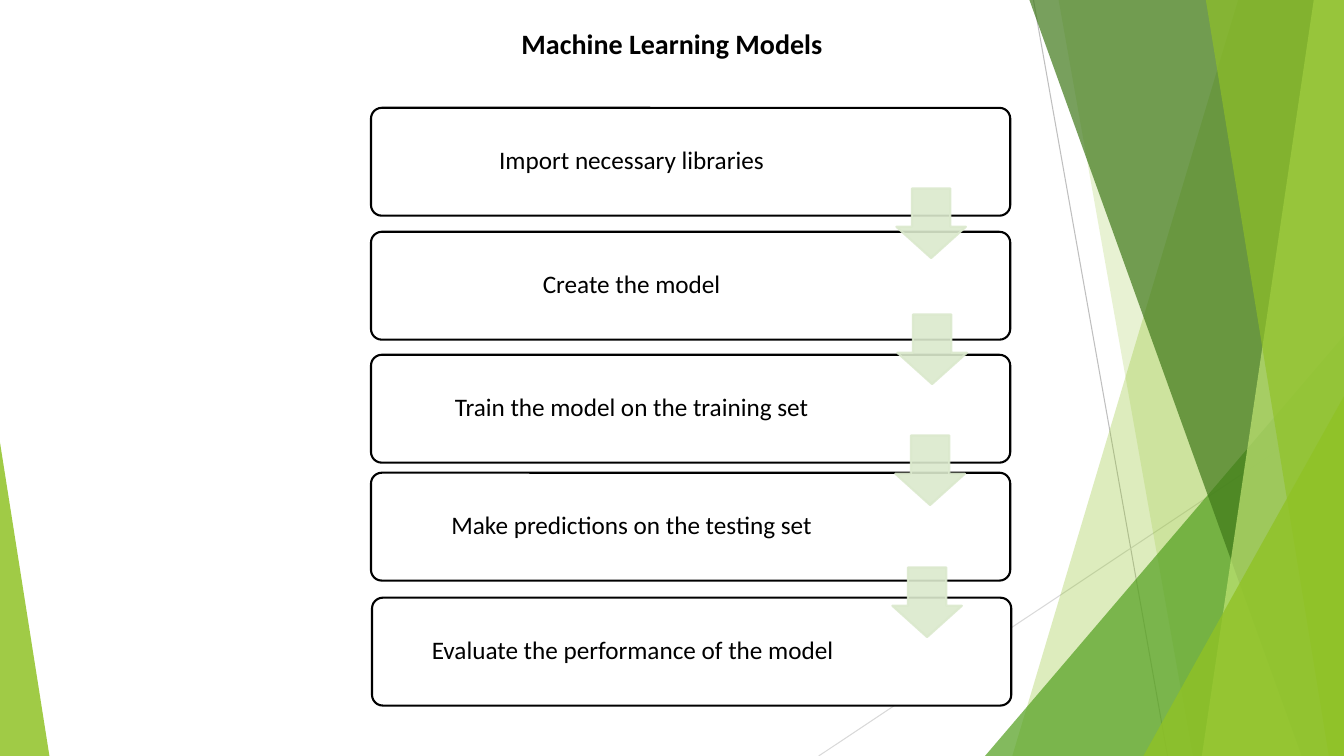
from dataclasses import dataclass

from lxml.etree import SubElement
from pptx import Presentation
from pptx.dml.color import RGBColor
from pptx.enum.shapes import MSO_CONNECTOR as Connector, MSO_SHAPE as Shape
from pptx.enum.text import MSO_ANCHOR as Anchor, PP_ALIGN as Align
from pptx.oxml.ns import qn
from pptx.util import Inches, Pt


@dataclass(frozen=True)
class Theme:
    font: str = "Calibri"
    title_size: int = 20
    step_size: int = 18
    text: str = "000000"
    box: str = "FFFFFF"
    arrow: str = "DBE9CD"
    lime: str = "90C226"
    pale_lime: str = "C0E474"
    green: str = "54A021"
    dark_green: str = "3F7819"
    ray: str = "BFBFBF"
    pale_ray: str = "D9D9D9"


T = Theme()
W, H = 13.33, 7.5

TITLE = "Machine Learning Models"
# text, left, top
STEPS = [
    ("Import necessary libraries", 3.68, 1.07),
    ("Create the model", 3.68, 2.3),
    ("Train the model on the training set", 3.68, 3.52),
    ("Make predictions on the testing set", 3.68, 4.69),
    ("Evaluate the performance of the model", 3.69, 5.93),
]
BOX_W, BOX_H = 6.34, 1.07
ARROWS = [(8.89, 1.87), (8.9, 3.12), (8.88, 4.32), (8.85, 5.63)]
ARROW_SIZE = 0.69

# x1, y1, x2, y2, colour
RAYS = [(10.25, 0, 11.58, H, T.ray), (W, 4.03, 8.12, H, T.pale_ray)]
# Bands reach the right edge: top-left x, bottom-left x, colour, opacity
BANDS_BACK = [(12.28, 10.04, T.lime, 30), (10.5, 11.83, T.lime, 20)]
BANDS_FRONT = [
    (10.21, 12.91, T.dark_green, 70),
    (13.03, 11.92, T.pale_lime, 70),
    (11.96, 13.18, T.lime, 65),
]
# Corners stand on the bottom edge: left, top, width, apex, colour, opacity
CORNER_BACK = (9.77, 3.33, 3.56, 1, T.green, 72)
CORNERS_FRONT = [(11.34, 3.93, 1.99, 1, T.lime, 80), (0, 4.39, 0.49, 0, T.lime, 85)]


def paint(fill, color, opacity=100):
    fill.solid()
    fill.fore_color.rgb = RGBColor.from_string(color)
    if opacity < 100:
        clr = fill._xPr.find(qn("a:solidFill"))[0]
        SubElement(clr, qn("a:alpha")).set("val", str(opacity * 1000))


def style(sp, color, opacity=100, line=None):
    sp.shadow.inherit = False
    paint(sp.fill, color, opacity)
    if line:
        paint(sp.line.fill, line, opacity)
        sp.line.width = Pt(1.5)
    else:
        sp.line.fill.background()


def add_preset(shapes, kind, left, top, width, height, *adjustments):
    sp = shapes.add_shape(kind, *map(Inches, (left, top, width, height)))
    for i, value in enumerate(adjustments):
        sp.adjustments[i] = value
    return sp


def add_ray(shapes, x1, y1, x2, y2, color):
    ray = shapes.add_connector(Connector.STRAIGHT, *map(Inches, (x1, y1, x2, y2)))
    ray.line.width = Pt(0.75)
    paint(ray.line.fill, color)
    SubElement(ray._element.spPr, qn("a:effectLst"))


def add_band(shapes, top_x, bottom_x, color, opacity):
    corners = [(top_x, 0), (W, 0), (W, H), (bottom_x, H)]
    points = [(Inches(x), Inches(y)) for x, y in corners]
    builder = shapes.build_freeform(*points[0])
    builder.add_line_segments(points[1:], close=True)
    style(builder.convert_to_shape(), color, opacity)


def add_corner(shapes, left, top, width, apex, color, opacity):
    sp = add_preset(shapes, Shape.ISOSCELES_TRIANGLE, left, top, width, H - top, apex)
    style(sp, color, opacity)


def write(tf, text, size, bold=False):
    tf.word_wrap = True
    tf.vertical_anchor = Anchor.MIDDLE
    p = tf.paragraphs[0]
    p.text = text
    p.alignment = Align.CENTER
    p.font.name, p.font.size, p.font.bold = T.font, Pt(size), bold
    p.font.color.rgb = RGBColor.from_string(T.text)
    return p


def add_step(shapes, text, left, top):
    sp = add_preset(shapes, Shape.ROUNDED_RECTANGLE, left, top, BOX_W, BOX_H, 0.1)
    style(sp, T.box, line=T.text)
    tf = sp.text_frame
    tf.margin_left = tf.margin_top = tf.margin_bottom = Inches(0.07)
    tf.margin_right = Inches(1.24)  # keeps the text clear of the arrows
    write(tf, text, T.step_size).line_spacing = 0.9


def main():
    prs = Presentation()
    prs.slide_width, prs.slide_height = Inches(W), Inches(H)
    shapes = prs.slides.add_slide(prs.slide_layouts[5]).shapes

    for ray in RAYS:
        add_ray(shapes, *ray)
    for band in BANDS_BACK:
        add_band(shapes, *band)
    add_corner(shapes, *CORNER_BACK)
    for band in BANDS_FRONT:
        add_band(shapes, *band)
    for corner in CORNERS_FRONT:
        add_corner(shapes, *corner)

    title = shapes.title
    title.left, title.top = Inches(4.51), Inches(0.21)
    title.width, title.height = Inches(4.31), Inches(0.44)
    write(title.text_frame, TITLE, T.title_size, bold=True)

    for step in STEPS:
        add_step(shapes, *step)
    for left, top in ARROWS:
        sp = add_preset(shapes, Shape.DOWN_ARROW, left, top, ARROW_SIZE, ARROW_SIZE, 0.55, 0.45)
        style(sp, T.arrow, 90, line=T.arrow)

    prs.save("out.pptx")


if __name__ == "__main__":
    main()
